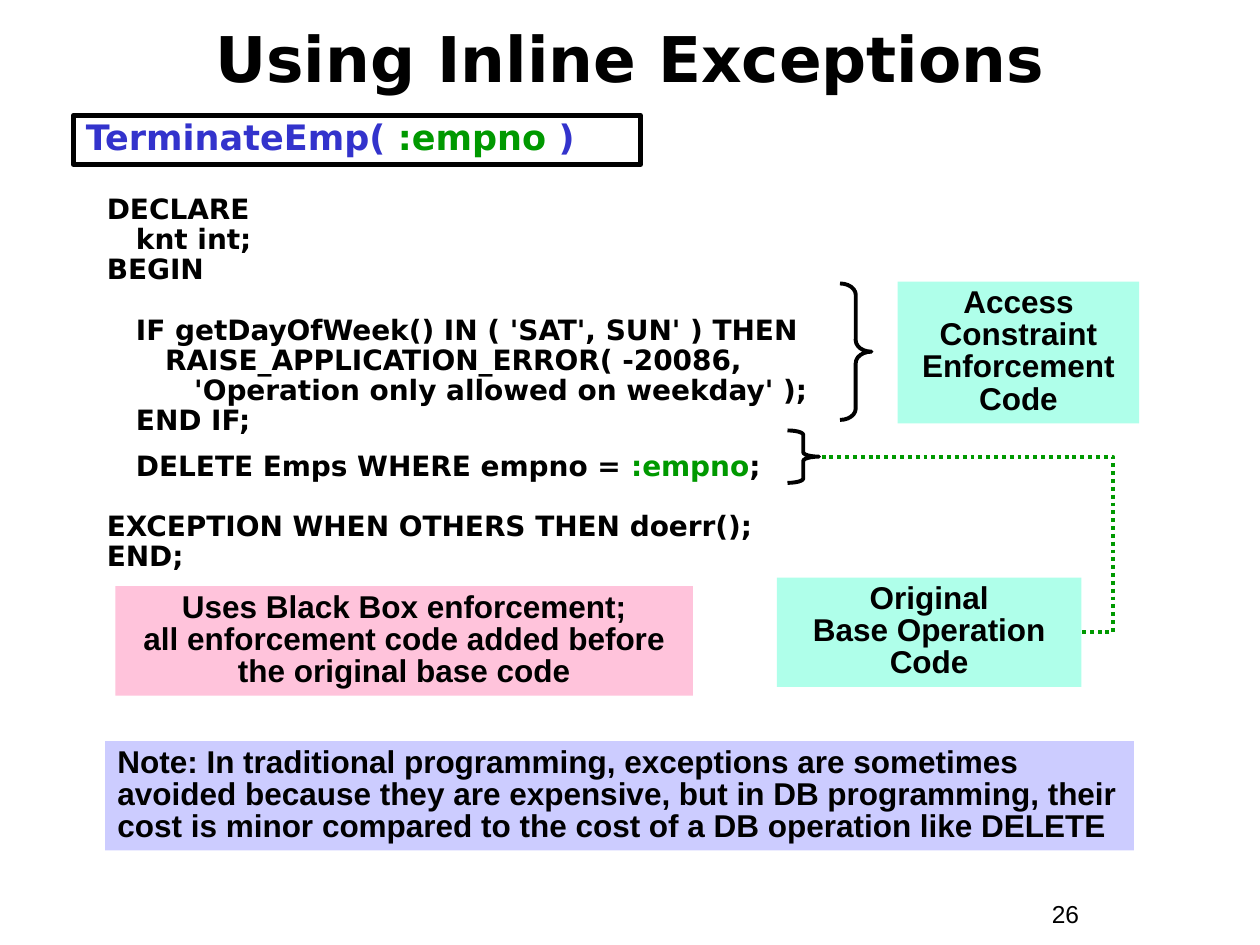
from lxml.etree import SubElement
from pptx import Presentation
from pptx.dml.color import RGBColor
from pptx.enum.dml import MSO_LINE
from pptx.enum.shapes import MSO_CONNECTOR, MSO_SHAPE
from pptx.enum.text import MSO_ANCHOR, PP_ALIGN
from pptx.oxml.ns import qn
from pptx.util import Pt

BLACK = RGBColor(0x00, 0x00, 0x00)
GREEN = RGBColor(0x00, 0x99, 0x00)
BLUE = RGBColor(0x33, 0x33, 0xCC)
MINT = RGBColor(0xAF, 0xFF, 0xEA)
PINK = RGBColor(0xFF, 0xC3, 0xDB)
LILAC = RGBColor(0xCC, 0xCC, 0xFF)
CODE_FONT, NOTE_FONT = "DejaVu Sans", "Arial"

TITLE = "Using Inline Exceptions"
PAGE_NUMBER = "26"
SIGNATURE = [("TerminateEmp( ", BLUE), (":empno ", GREEN), (")", BLUE)]

# Code lines: space before in points, then the coloured pieces
BLANK_LINE, HALF_LINE = 17.25, 8.6
CODE = [
    (0, [("DECLARE", BLACK)]),
    (0, [("   knt int;", BLACK)]),
    (0, [("BEGIN", BLACK)]),
    (BLANK_LINE, [("   IF getDayOfWeek() IN ( 'SAT', SUN' ) THEN", BLACK)]),
    (0, [("      RAISE_APPLICATION_ERROR( -20086,", BLACK)]),
    (0, [("         'Operation only allowed on weekday' );", BLACK)]),
    (0, [("   END IF;", BLACK)]),
    (HALF_LINE, [("   DELETE Emps WHERE empno = ", BLACK), (":empno", GREEN), (";", BLACK)]),
    (BLANK_LINE, [("EXCEPTION WHEN OTHERS THEN doerr();", BLACK)]),
    (0, [("END;", BLACK)]),
]

# Filled notes: text, (left, top, width, height), fill, alignment
NOTES = {
    "base": ("Original\nBase Operation Code", (444, 330, 174, 62.5), MINT, PP_ALIGN.CENTER),
    "black box": ("Uses Black Box enforcement;\nall enforcement code added before "
                  "the original base code", (66, 335, 330, 62.5), PINK, PP_ALIGN.CENTER),
    "access": ("Access Constraint\nEnforcement\nCode", (513, 161, 138, 81), MINT, PP_ALIGN.CENTER),
    "cost": ("Note: In traditional programming, exceptions are sometimes avoided because "
             "they are expensive, but in DB programming, their cost is minor compared to "
             "the cost of a DB operation like DELETE", (60, 423.5, 588, 62.5), LILAC, PP_ALIGN.LEFT),
}
BRACES = [(450, 246, 18, 30), (480, 162, 18, 78)]

prs = Presentation()
prs.slide_width, prs.slide_height = Pt(720), Pt(540)
s = prs.slides.add_slide(prs.slide_layouts[6])


def points(box):
    return [Pt(v) for v in box]


def style(p, font, size, bold=True, align=PP_ALIGN.LEFT, spacing=1.0):
    p.font.name, p.font.size, p.font.bold = font, Pt(size), bold
    p.alignment, p.line_spacing = align, spacing


def add_pieces(p, pieces):
    for text, color in pieces:
        r = p.add_run()
        r.text = text
        r.font.color.rgb = color


def add_text(box, anchor=MSO_ANCHOR.TOP):
    tf = s.shapes.add_textbox(*points(box)).text_frame
    tf.word_wrap, tf.vertical_anchor = True, anchor
    return tf


def add_shape(kind, box, fill=None, line_width=None):
    sp = s.shapes.add_shape(kind, *points(box))
    sp.shadow.inherit = False
    if fill is None:
        sp.fill.background()
    else:
        sp.fill.solid()
        sp.fill.fore_color.rgb = fill
    if line_width is None:
        sp.line.fill.background()
    else:
        sp.line.color.rgb, sp.line.width = BLACK, Pt(line_width)
    sp.text_frame.word_wrap = True
    sp.text_frame.vertical_anchor = MSO_ANCHOR.TOP
    return sp


# Page number and title
p = add_text((594, 510, 66, 24)).paragraphs[0]
p.text = PAGE_NUMBER
style(p, NOTE_FONT, 14, bold=False)
p.font.color.rgb = BLACK

p = add_text((12, 6, 696, 54), MSO_ANCHOR.MIDDLE).paragraphs[0]
p.text = TITLE
style(p, CODE_FONT, 36, align=PP_ALIGN.CENTER)
p.font.color.rgb = BLACK

# Code listing
tf = add_text((54, 108, 612, 223))
for i, (gap, pieces) in enumerate(CODE):
    p = tf.add_paragraph() if i else tf.paragraphs[0]
    add_pieces(p, pieces)
    style(p, CODE_FONT, 16, spacing=0.9)
    p.space_before = Pt(gap)

# Procedure signature
p = add_shape(MSO_SHAPE.RECTANGLE, (42, 66, 324, 28), line_width=3).text_frame.paragraphs[0]
add_pieces(p, SIGNATURE)
style(p, CODE_FONT, 20, spacing=0.85)

# Filled notes
notes = {}
for name, (text, box, fill, align) in NOTES.items():
    notes[name] = add_shape(MSO_SHAPE.RECTANGLE, box, fill)
    p = notes[name].text_frame.paragraphs[0]
    p.text = text
    style(p, NOTE_FONT, 18, align=align, spacing=0.85)
    p.font.color.rgb = BLACK

# Braces beside the code; each curl is a twelfth of the height
for box in BRACES:
    brace = add_shape(MSO_SHAPE.RIGHT_BRACE, box, line_width=2.25)
    brace.adjustments[0] = box[3] / 12 / box[2]

# Dotted elbow from the small brace round to the base operation note
elbow = s.shapes.add_connector(MSO_CONNECTOR.ELBOW, *points((469.5, 261, 618, 361.25)))
elbow.end_connect(notes["base"], 3)
elbow.line.color.rgb, elbow.line.width = GREEN, Pt(2.25)
elbow.line.dash_style = MSO_LINE.ROUND_DOT
props = elbow._element.spPr
SubElement(props, qn("a:effectLst"))
guides = props.find(qn("a:prstGeom")).get_or_add_avLst()
SubElement(guides, qn("a:gd"), name="adj1", fmla="val 112100")

prs.save("out.pptx")
